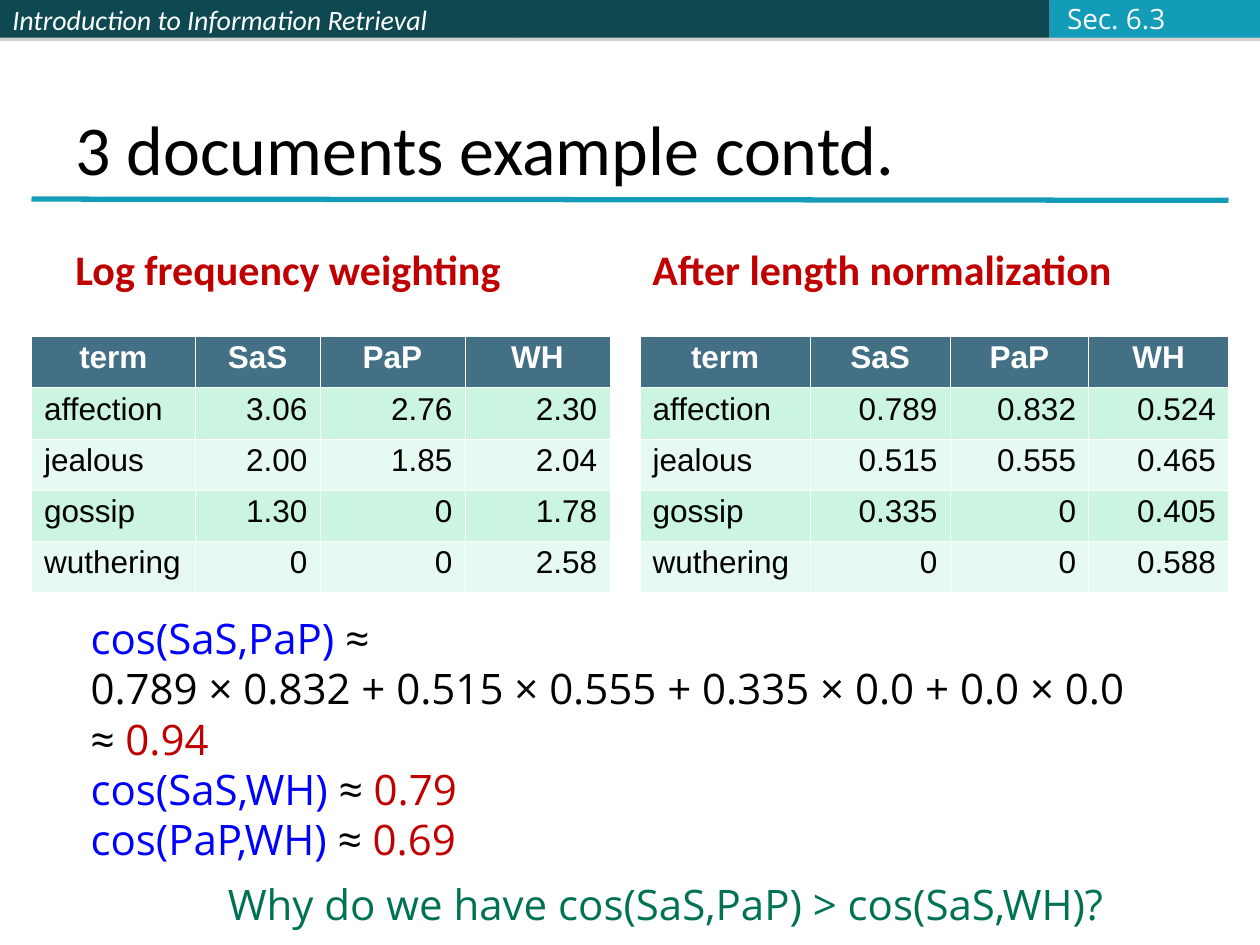
from lxml.etree import SubElement, Element
from pptx import Presentation
from pptx.dml.color import RGBColor
from pptx.enum.shapes import MSO_CONNECTOR, MSO_SHAPE
from pptx.enum.text import MSO_ANCHOR, MSO_AUTO_SIZE, PP_ALIGN
from pptx.oxml.ns import qn
from pptx.util import Inches, Pt

WHITE, BLACK, RED, BLUE = "FFFFFF", "000000", "C00000", "0000FF"
DARK, TEAL, GREEN = "0E4851", "139CB7", "007254"
HEAD, BANDS = "437085", ("E7FAF1", "CBF5E1")


def color(code):
    return RGBColor.from_string(code)


def paint(node, code, alpha=None):
    tint = SubElement(node, qn("a:srgbClr"), val=code)
    if alpha:
        SubElement(tint, qn("a:alpha"), val=str(alpha * 1000))


class Deck:
    def __init__(self, slide):
        self.slide = slide
        self.body = "Open Sans"
        self.title = "Calibri"
        self.grid = "Arial"

    def run(self, para, text, size, font, code, bold=False, italic=False):
        run = para.add_run()
        run.text = text
        run.font.size = Pt(size)
        run.font.name = font
        run.font.bold = bold
        run.font.italic = italic
        run.font.color.rgb = color(code)

    def bar(self, left, width, code):
        box = self.slide.shapes.add_shape(
            MSO_SHAPE.RECTANGLE, Inches(left), 0, Inches(width), Inches(0.3))
        box.fill.solid()
        box.fill.fore_color.rgb = color(code)
        box.line.fill.background()
        box.shadow.inherit = False
        effect = box._element.spPr.find(qn("a:effectLst"))
        shade = SubElement(effect, qn("a:outerShdw"), dist=str(Pt(1.8)),
                           dir="5400000", rotWithShape="0")
        paint(shade, "808080", 35)
        return box

    def label(self, box, text, size):
        frame = box.text_frame
        frame.vertical_anchor = MSO_ANCHOR.MIDDLE
        para = frame.paragraphs[0]
        para.alignment = PP_ALIGN.LEFT
        self.run(para, text, size, self.title, WHITE, italic=True)

    def rule(self, start, end, code, width):
        line = self.slide.shapes.add_connector(
            MSO_CONNECTOR.STRAIGHT, *map(Inches, start + end))
        line.line.color.rgb = color(code)
        line.line.width = Pt(width)
        SubElement(line._element.spPr, qn("a:effectLst"))

    def text(self, area, lines, size, font, anchor=MSO_ANCHOR.TOP,
             wrap=False, bold=False, before=0):
        box = self.slide.shapes.add_textbox(*map(Inches, area))
        frame = box.text_frame
        frame.word_wrap = wrap
        frame.auto_size = (MSO_AUTO_SIZE.NONE if wrap
                           else MSO_AUTO_SIZE.SHAPE_TO_FIT_TEXT)
        frame.vertical_anchor = anchor
        for row, parts in enumerate(lines):
            para = frame.add_paragraph() if row else frame.paragraphs[0]
            para.space_before = Pt(before)
            for words, code in parts:
                self.run(para, words, size, font, code, bold)

    def edge(self, cell, row):
        props = cell._tc.get_or_add_tcPr()
        for spot, side in enumerate("LRTB"):
            thick = (row, side) in ((0, "B"), (1, "T"))
            line = Element(qn("a:ln" + side), w=str(Pt(0.75 if thick else 0.23)))
            paint(SubElement(line, qn("a:solidFill")), WHITE)
            props.insert(spot, line)

    def table(self, left, widths, rows):
        frame = self.slide.shapes.add_table(
            len(rows), len(widths), Inches(left), Inches(2.67),
            Inches(sum(widths)), Inches(2.03))
        table = frame.table
        for col, width in zip(table.columns, widths):
            col.width = Inches(width)
        for r, row in enumerate(rows):
            for c, text in enumerate(row):
                cell = table.cell(r, c)
                cell.fill.solid()
                cell.fill.fore_color.rgb = color(BANDS[r % 2] if r else HEAD)
                self.edge(cell, r)
                para = cell.text_frame.paragraphs[0]
                para.line_spacing = 0.93
                para.alignment = (PP_ALIGN.CENTER if r == 0 else
                                  PP_ALIGN.RIGHT if c else PP_ALIGN.LEFT)
                self.run(para, text, 18, self.grid,
                         BLACK if r else WHITE, bold=r == 0)


def main():
    show = Presentation()
    show.slide_width, show.slide_height = Inches(10), Inches(7.5)
    deck = Deck(show.slides.add_slide(show.slide_layouts[6]))

    deck.label(deck.bar(0, 4.08, DARK), "Introduction to Information Retrieval", 16)
    deck.bar(4.08, 4.25, DARK)
    deck.bar(8.33, 1.67, TEAL)
    deck.rule((0.25, 1.58), (9.75, 1.59), TEAL, 3)
    deck.text((0.5, 0.3, 9, 1.25), [[("3 documents example contd.", BLACK)]],
              40, deck.title, MSO_ANCHOR.BOTTOM, wrap=True)

    names = ("term", "SaS", "PaP", "WH")
    terms = ("affection", "jealous", "gossip", "wuthering")
    panels = (
        ("Log frequency weighting", 0.5, 0.25, (1.3, 0.99, 1.15, 1.15),
         ("3.06 2.76 2.30", "2.00 1.85 2.04", "1.30 0 1.78", "0 0 2.58")),
        ("After length normalization", 5.08, 5.08, (1.35, 1.11, 1.1, 1.11),
         ("0.789 0.832 0.524", "0.515 0.555 0.465", "0.335 0 0.405",
          "0 0 0.588")),
    )
    for head, left, edge, widths, data in panels:
        deck.text((left, 1.68, 4.42, 0.7), [[(head, RED)]], 24, deck.title,
                  MSO_ANCHOR.BOTTOM, wrap=True, bold=True, before=6)
        rows = [(term, *line.split()) for term, line in zip(terms, data)]
        deck.table(edge, widths, [names, *rows])

    deck.text((0.62, 4.81, 8.42, 2.1), [
        [("cos(SaS,PaP) ", BLUE), ("≈", BLACK)],
        [("0.789 × 0.832 + 0.515 × 0.555 + 0.335 × 0.0 + 0.0 × 0.0", BLACK)],
        [("≈ ", BLACK), ("0.94", RED)],
        [("cos(SaS,WH)", BLUE), (" ≈ ", BLACK), ("0.79", RED)],
        [("cos(PaP,WH) ", BLUE), ("≈ ", BLACK), ("0.69", RED)],
    ], 24, deck.body)
    deck.text((1.71, 6.92, 7.22, 0.5),
              [[("Why do we have cos(SaS,PaP) > cos(SaS,WH)?", GREEN)]],
              24, deck.body)
    deck.text((8.37, -0.04, 0.98, 0.37), [[("Sec. 6.3", "FBFCFF")]],
              16, deck.body, MSO_ANCHOR.MIDDLE)
    show.save("out.pptx")


if __name__ == "__main__":
    main()
